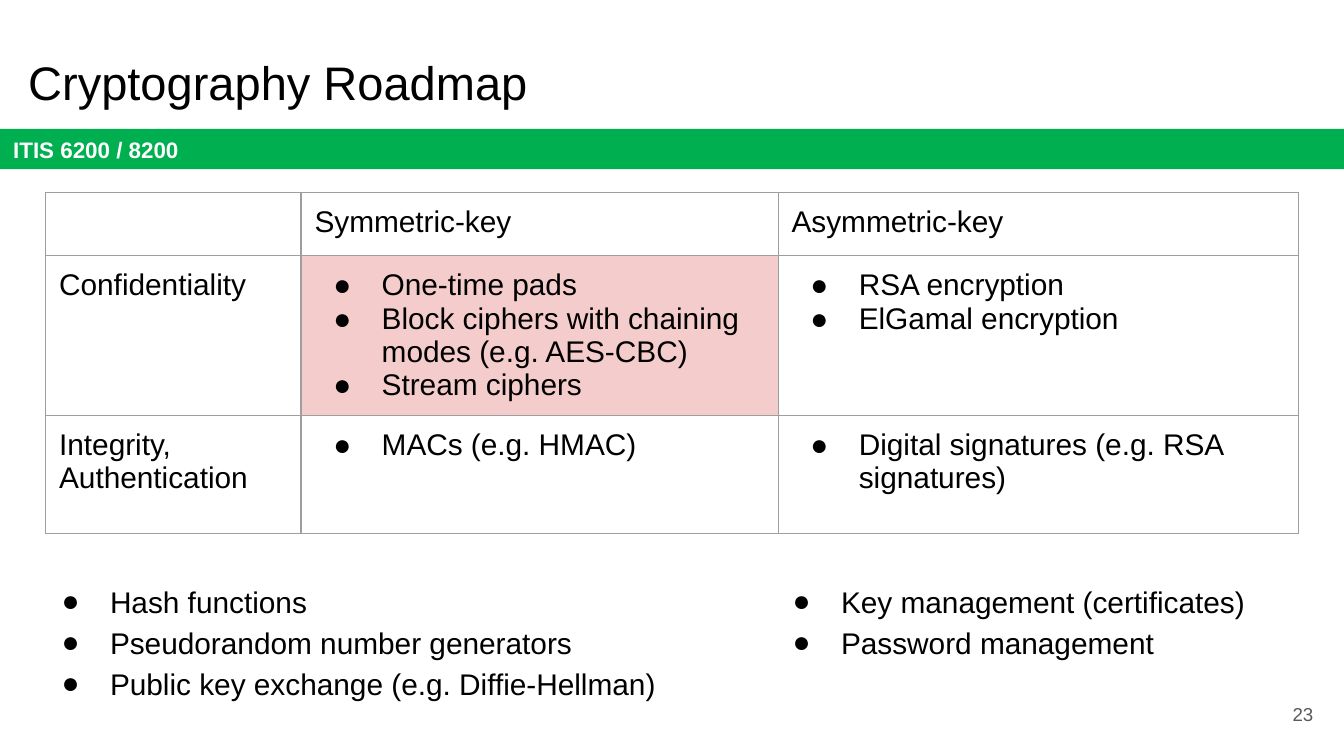
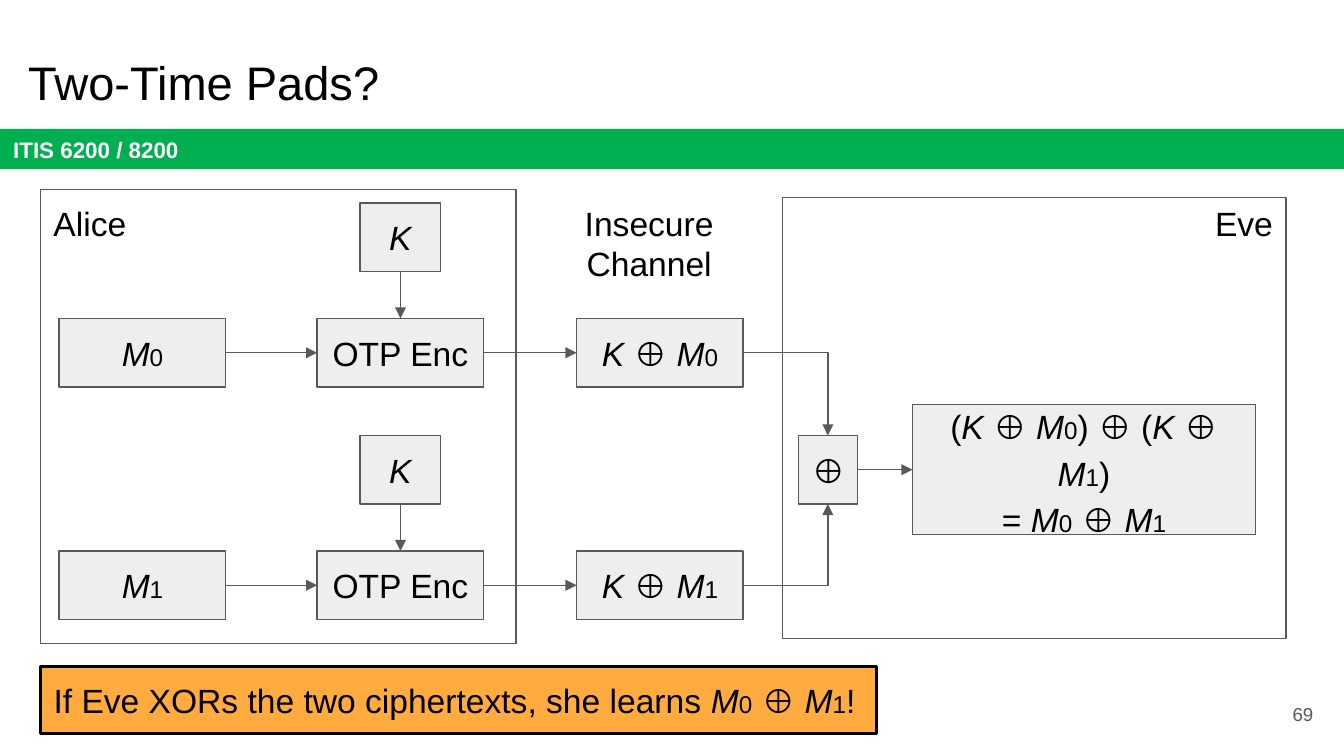
from dataclasses import dataclass

from lxml import etree
from pptx import Presentation
from pptx.dml.color import RGBColor
from pptx.enum.shapes import MSO_CONNECTOR, MSO_SHAPE
from pptx.enum.text import MSO_ANCHOR, MSO_AUTO_SIZE, PP_ALIGN
from pptx.oxml.ns import qn
from pptx.util import Inches, Pt

LEFT, CENTER, RIGHT = PP_ALIGN.LEFT, PP_ALIGN.CENTER, PP_ALIGN.RIGHT
TOP, MIDDLE = MSO_ANCHOR.TOP, MSO_ANCHOR.MIDDLE
NO_FIT = MSO_AUTO_SIZE.NONE
RECT = MSO_SHAPE.RECTANGLE
STRAIGHT, ELBOW = MSO_CONNECTOR.STRAIGHT, MSO_CONNECTOR.ELBOW
TOP_SITE, LEFT_SITE, BOTTOM_SITE, RIGHT_SITE = range(4)
TITLE_ONLY = 5


@dataclass(frozen=True)
class Theme:
    font: str = "Arial"
    ink: str = "000000"
    white: str = "FFFFFF"
    green: str = "00B050"
    gray: str = "595959"
    grid: str = "9E9E9E"
    pale: str = "EEEEEE"
    pink: str = "F4CCCC"
    orange: str = "FFAB40"
    title: float = 25.2
    label: float = 18
    body: float = 16
    sub: float = 13
    band: float = 12
    page: float = 10
    thin: float = 0.75
    thick: float = 1.5
    inset: float = 0.1


THEME = Theme()


def child(parent, tag, **attrs):
    return etree.SubElement(parent, qn(tag), attrs)


def add_bullet(para):
    props = para._p.get_or_add_pPr()
    props.set("marL", str(Inches(0.5)))
    props.set("indent", str(-Inches(0.36)))
    color = child(props, "a:buClr")
    child(color, "a:srgbClr", val=THEME.ink)
    child(props, "a:buFont", typeface=THEME.font)
    child(props, "a:buChar", char="●")


def write(frame, text, size=THEME.label, color=THEME.ink, bold=False,
          align=LEFT, bullet=False, spacing=None):
    lines = [text] if isinstance(text, str) else text
    for index, line in enumerate(lines):
        para = frame.add_paragraph() if index else frame.paragraphs[0]
        if bullet:
            add_bullet(para)
        para.alignment = align
        if spacing:
            para.line_spacing = spacing
        for piece in line.split("|"):
            if piece == "\n":
                para.add_line_break()
                continue
            run = para.add_run()
            run.text = piece.lstrip("*_")
            font = run.font
            font.name = THEME.font
            font.size = Pt(THEME.sub if piece.startswith("_") else size)
            font.bold = bold
            font.italic = piece.startswith("*")
            font.color.rgb = RGBColor.from_string(color)


def set_frame(frame, anchor):
    frame.word_wrap = True
    frame.auto_size = NO_FIT
    frame.vertical_anchor = anchor
    frame.margin_left = frame.margin_right = Inches(THEME.inset)
    frame.margin_top = frame.margin_bottom = Inches(THEME.inset)


class Deck:
    def __init__(self, theme):
        self.theme = theme
        self.prs = Presentation()
        self.prs.slide_width = Inches(10)
        self.prs.slide_height = Inches(10) * 9 // 16
        self.slide = None

    def start(self, title, page):
        theme = self.theme
        layout = self.prs.slide_layouts[TITLE_ONLY]
        self.slide = self.prs.slides.add_slide(layout)
        head = self.slide.shapes.title
        head.left, head.top = Inches(0.11), Inches(0.3)
        head.width, head.height = Inches(9.32), Inches(0.63)
        set_frame(head.text_frame, TOP)
        write(head.text_frame, title, size=theme.title)
        self.box(0, 0.96, 10, 0.3, "ITIS 6200 / 8200", fill=theme.green,
                 line=None, size=theme.band, color=theme.white, bold=True,
                 align=LEFT)
        self.text(9.27, 5.1, 0.6, 0.43, page, anchor=MIDDLE,
                  size=theme.page, color=theme.gray, align=RIGHT)

    def text(self, x, y, w, h, text, anchor=TOP, **style):
        box = self.slide.shapes.add_textbox(
            Inches(x), Inches(y), Inches(w), Inches(h))
        set_frame(box.text_frame, anchor)
        write(box.text_frame, text, **style)

    def box(self, x, y, w, h, text=None, fill=THEME.pale, line=THEME.gray,
            width=THEME.thin, anchor=MIDDLE, align=CENTER, **style):
        shape = self.slide.shapes.add_shape(
            RECT, Inches(x), Inches(y), Inches(w), Inches(h))
        shape.shadow.inherit = False
        if fill:
            shape.fill.solid()
            shape.fill.fore_color.rgb = RGBColor.from_string(fill)
        else:
            shape.fill.background()
        if line:
            shape.line.color.rgb = RGBColor.from_string(line)
            shape.line.width = Pt(width)
        else:
            shape.line.fill.background()
        if text:
            set_frame(shape.text_frame, anchor)
            write(shape.text_frame, text, align=align, **style)
        return shape

    def arrow(self, start, end, out=RIGHT_SITE, into=LEFT_SITE, bent=False):
        link = self.slide.shapes.add_connector(
            ELBOW if bent else STRAIGHT, 0, 0, 0, 0)
        link.begin_connect(start, out)
        link.end_connect(end, into)
        link.line.color.rgb = RGBColor.from_string(self.theme.gray)
        link.line.width = Pt(self.theme.thin)
        props = link._element.spPr
        if bent:
            props.find(qn("a:prstGeom")).set("prst", "bentConnector2")
        child(props.find(qn("a:ln")), "a:tailEnd", type="triangle")
        child(props, "a:effectLst")

    def table(self, x, y, cols, rows, cells, marked):
        grid = self.slide.shapes.add_table(
            len(rows), len(cols), Inches(x), Inches(y),
            Inches(sum(cols)), Inches(sum(rows))).table
        grid.first_row = grid.horz_banding = False
        for col, width in zip(grid.columns, cols):
            col.width = Inches(width)
        for row, height in zip(grid.rows, rows):
            row.height = Inches(height)
        for r, line in enumerate(cells):
            for c, text in enumerate(line):
                self.cell(grid.cell(r, c), text, (r, c) == marked)

    def cell(self, cell, text, marked):
        theme = self.theme
        cell.margin_left = cell.margin_right = Inches(theme.inset)
        cell.margin_top = cell.margin_bottom = Inches(theme.inset)
        props = cell._tc.get_or_add_tcPr()
        for side in ("L", "R", "T", "B"):
            edge = child(props, f"a:ln{side}", w=str(Pt(theme.thin)))
            paint = child(edge, "a:solidFill")
            child(paint, "a:srgbClr", val=theme.grid)
        if marked:
            cell.fill.solid()
            cell.fill.fore_color.rgb = RGBColor.from_string(theme.pink)
        else:
            cell.fill.background()
        if text:
            write(cell.text_frame, text, size=theme.body,
                  bullet=isinstance(text, list))
        else:
            child(cell.text_frame.paragraphs[0]._p, "a:endParaRPr",
                  sz=str(theme.body * 100))


def roadmap(deck):
    deck.start("Cryptography Roadmap", "23")
    cells = [
        ["", "Symmetric-key", "Asymmetric-key"],
        ["Confidentiality",
         ["One-time pads",
          "Block ciphers with chaining modes (e.g. AES-CBC)",
          "Stream ciphers"],
         ["RSA encryption", "ElGamal encryption"]],
        ["Integrity,|\n|Authentication",
         ["MACs (e.g. HMAC)"],
         ["Digital signatures (e.g. RSA signatures)"]],
    ]
    deck.table(0.34, 1.43, [1.9, 3.55, 3.87], [0.41, 0.88, 0.88], cells,
               marked=(1, 1))
    style = dict(size=deck.theme.body, bullet=True, spacing=1.15)
    deck.text(0.22, 4.2, 4.78, 1.28,
              ["Hash functions", "Pseudorandom number generators",
               "Public key exchange (e.g. Diffie-Hellman)"], **style)
    deck.text(5.66, 4.2, 3.77, 0.78,
              ["Key management (certificates)", "Password management"],
              **style)


def pads(deck):
    theme = deck.theme
    deck.start("Two-Time Pads?", "69")
    deck.box(5.82, 1.47, 3.75, 3.28, fill=None)
    deck.box(0.3, 1.41, 3.54, 3.38, fill=None)
    deck.text(0.3, 1.41, 0.84, 0.5, "Alice")
    deck.text(3.84, 1.41, 1.98, 0.81, "Insecure Channel", align=CENTER)
    deck.text(8.73, 1.41, 0.84, 0.5, "Eve", align=RIGHT)

    wide, high = 1.24, 0.51
    pair = "*M|_0| ⊕ |*M|_1"
    xor = deck.box(5.94, 3.24, 0.44, high, "⊕")
    result = deck.box(
        6.79, 3.01, 2.55, 0.97,
        f"(|*K| ⊕ |*M|_0|) ⊕ (|*K| ⊕ |*M|_1|)|\n|= |{pair}", spacing=1.15)
    deck.arrow(xor, result)

    for index, (y, site) in enumerate([(2.37, TOP_SITE), (4.1, BOTTOM_SITE)]):
        plain = f"*M|_{index}"
        source = deck.box(0.44, y, wide, high, plain)
        key = deck.box(2.68, y - 0.86, 0.6, high, "*K")
        enc = deck.box(2.36, y, wide, high, "OTP Enc")
        cipher = deck.box(4.29, y, wide, high, f"*K| ⊕ |{plain}")
        deck.arrow(key, enc, BOTTOM_SITE, TOP_SITE)
        deck.arrow(source, enc)
        deck.arrow(enc, cipher)
        deck.arrow(cipher, xor, into=site, bent=True)

    deck.box(0.3, 4.96, 6.22, 0.5,
             f"If Eve XORs the two ciphertexts, she learns |{pair}|!",
             fill=theme.orange, line=theme.ink, width=theme.thick,
             anchor=TOP, align=LEFT)


def main():
    deck = Deck(THEME)
    roadmap(deck)
    pads(deck)
    deck.prs.save("out.pptx")


if __name__ == "__main__":
    main()
